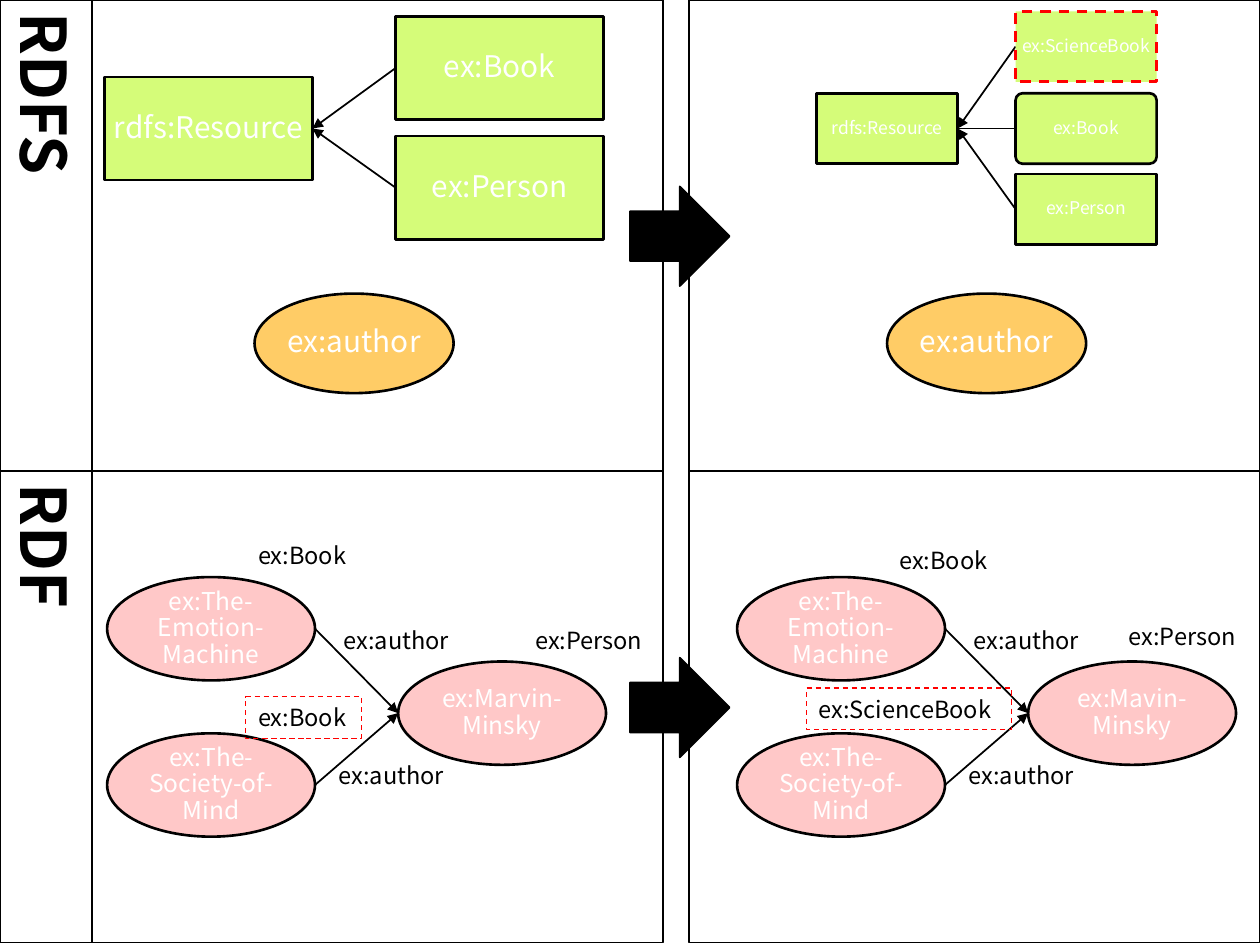
from lxml import etree
from pptx import Presentation
from pptx.dml.color import RGBColor
from pptx.enum.dml import MSO_LINE
from pptx.enum.shapes import MSO_CONNECTOR, MSO_SHAPE
from pptx.enum.text import MSO_ANCHOR, PP_ALIGN
from pptx.oxml.ns import qn
from pptx.util import Inches, Pt

RECT, ROUND, OVAL = MSO_SHAPE.RECTANGLE, MSO_SHAPE.ROUNDED_RECTANGLE, MSO_SHAPE.OVAL
ARROW, STRAIGHT = MSO_SHAPE.RIGHT_ARROW, MSO_CONNECTOR.STRAIGHT
DASH, MIDDLE = MSO_LINE.DASH, MSO_ANCHOR.MIDDLE
LEFT, CENTER = PP_ALIGN.LEFT, PP_ALIGN.CENTER
COLORS = {
    "black": "000000", "white": "FFFFFF", "red": "FF0000",
    "class": "D5FC79", "prop": "FFCC66", "item": "FFC8C8",
}


class Board:
    """Draws styled schema and data graphs on one slide."""

    font = "Noto Sans CJK JP"

    def __init__(self, slide):
        self.slide = slide

    def color(self, name):
        return RGBColor.from_string(COLORS[name])

    def shape(self, kind, box, fill, line="black", width=1, dash=None):
        shape = self.slide.shapes.add_shape(kind, *map(Inches, box))
        shape.shadow.inherit = False
        if fill:
            shape.fill.solid()
            shape.fill.fore_color.rgb = self.color(fill)
        else:
            shape.fill.background()
        shape.line.color.rgb = self.color(line)
        shape.line.width = Pt(width)
        if dash:
            shape.line.dash_style = dash
        return shape

    def letter(self, shape, text, size, color="black", align=LEFT, bold=False):
        frame = shape.text_frame
        frame.text = text
        para = frame.paragraphs[0]
        para.alignment = align
        font = para.runs[0].font
        font.name, font.size, font.bold = self.font, Pt(size), bold
        font.color.rgb = self.color(color)
        return frame

    def node(self, kind, box, text, size, fill, line="black", dash=None):
        shape = self.shape(kind, box, fill, line, 1.5, dash)
        if kind == ROUND:
            shape.adjustments[0] = 0.1
        frame = self.letter(shape, text, size, "white", CENTER)
        frame.word_wrap = True
        frame.vertical_anchor = MIDDLE
        frame.margin_left = frame.margin_right = Inches(0.01)
        frame.margin_top = frame.margin_bottom = Inches(0.01)
        frame.paragraphs[0].line_spacing = 0.9

    def label(self, x, y, text, width, framed=False):
        box = x, y, width, 0.33
        if framed:
            shape = self.shape(RECT, box, None, "red", 0.75, DASH)
        else:
            shape = self.slide.shapes.add_textbox(*map(Inches, box))
        self.letter(shape, text, 13.5).word_wrap = False

    def link(self, start, end, head=True):
        line = self.slide.shapes.add_connector(STRAIGHT, *map(Inches, start + end))
        line.line.color.rgb = self.color("black")
        line.line.width = Pt(1)
        props = line._element.spPr
        if head:
            etree.SubElement(props.find(qn("a:ln")), qn("a:headEnd"), type="triangle")
        etree.SubElement(props, qn("a:effectLst"))

    def band(self, y, text):
        for x in (0.73, 5.47):
            self.shape(RECT, (x, y, 4.53, 3.74), "white")
        side = self.shape(RECT, (0, y, 0.73, 3.74), "white")
        frame = self.letter(side, text, 36, bold=True)
        frame.vertical_anchor = MIDDLE
        frame._txBody.bodyPr.set("vert", "eaVert")

    def schema(self, root, x, kids, size, wide, high):
        left, top = root
        hub = left + wide, top + high / 2
        self.node(RECT, (left, top, wide, high), "rdfs:Resource", size, "class")
        for y, text, kind, line, dash in kids:
            self.link(hub, (x, y + high / 2), kind != ROUND)
            self.node(kind, (x, y, wide, high), text, size, "class", line, dash)

    def graph(self, x, person):
        wide, high = 1.65, 0.82
        hub = x + 2.31, 5.66
        self.node(OVAL, (hub[0], 5.25, wide, high), person, 14, "item")
        for y, text in ((4.58, "ex:The-Emotion-Machine"), (5.82, "ex:The-Society-of-Mind")):
            self.link(hub, (x + wide, y + high / 2))
            self.node(OVAL, (x, y, wide, high), text, 14, "item")
        for shift, y in ((1.78, 4.92), (1.74, 5.99)):
            self.label(x + shift, y, "ex:author", 1.05)


def main():
    deck = Presentation()
    deck.slide_width, deck.slide_height = Inches(10), Inches(7.5)
    board = Board(deck.slides.add_slide(deck.slide_layouts[6]))

    for y, text in ((0, "RDFS"), (3.74, "RDF")):
        board.band(y, text)
        board.shape(ARROW, (5, y + 1.48, 0.79, 0.79), "black")

    old = [(0.13, "ex:Book", RECT, "black", None),
           (1.08, "ex:Person", RECT, "black", None)]
    new = [(0.09, "ex:ScienceBook", RECT, "red", DASH),
           (0.74, "ex:Book", ROUND, "black", None),
           (1.38, "ex:Person", RECT, "black", None)]
    board.schema((0.83, 0.61), 3.14, old, 17, 1.65, 0.82)
    board.schema((6.48, 0.74), 8.06, new, 10, 1.12, 0.56)
    for x in (2.02, 7.04):
        board.node(OVAL, (x, 2.33, 1.58, 0.79), "ex:author", 17, "prop")

    board.graph(0.85, "ex:Marvin-Minsky")
    board.graph(5.85, "ex:Mavin-Minsky")
    board.label(1.95, 4.24, "ex:Book", 0.92)
    board.label(7.04, 4.28, "ex:Book", 0.92)
    board.label(4.15, 4.92, "ex:Person", 1.09)
    board.label(8.86, 4.89, "ex:Person", 1.09)
    board.label(1.95, 5.53, "ex:Book", 0.92, True)
    board.label(6.4, 5.46, "ex:ScienceBook", 1.63, True)

    deck.save("out.pptx")


if __name__ == "__main__":
    main()
